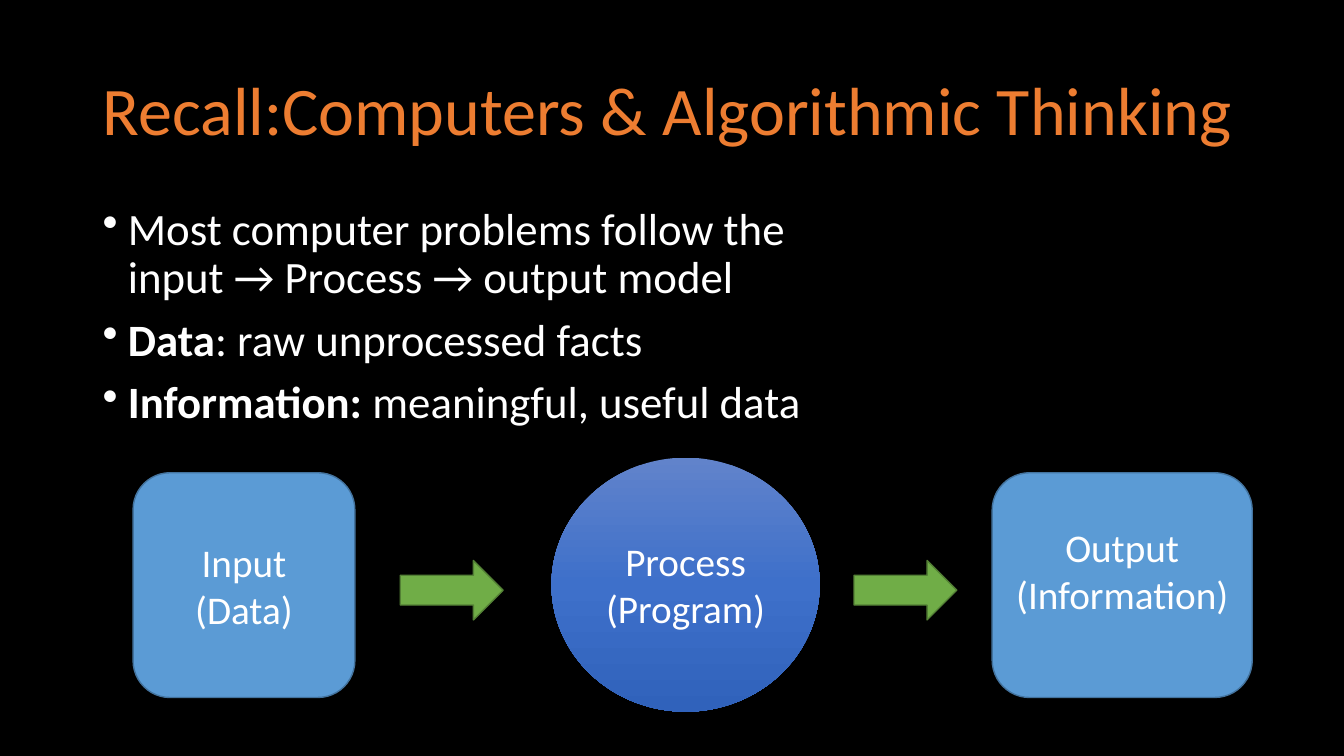
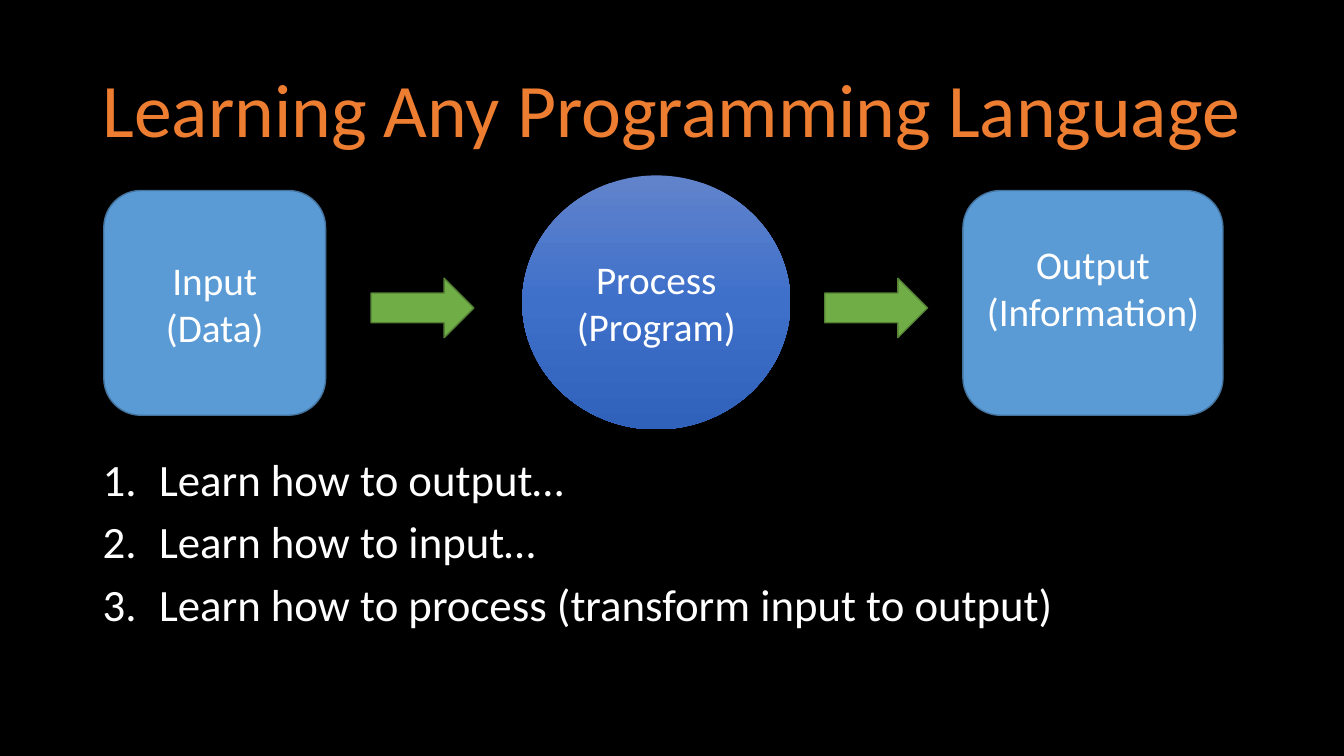
from lxml import etree
from pptx import Presentation
from pptx.dml.color import RGBColor
from pptx.enum.shapes import MSO_SHAPE
from pptx.enum.text import MSO_ANCHOR, PP_ALIGN
from pptx.oxml import parse_xml
from pptx.oxml.ns import nsdecls, qn
from pptx.util import Inches, Pt

ROUNDED, ELLIPSE, ARROW = (
    MSO_SHAPE.ROUNDED_RECTANGLE, MSO_SHAPE.OVAL, MSO_SHAPE.RIGHT_ARROW)
TOP, MIDDLE = MSO_ANCHOR.TOP, MSO_ANCHOR.MIDDLE
LEFT, CENTER = PP_ALIGN.LEFT, PP_ALIGN.CENTER

WIDTH, HEIGHT = 13.33, 7.5
MARGIN, CONTENT_WIDTH = 0.92, 11.5
FONT = "Calibri"
BLACK, WHITE, ORANGE = "000000", "FFFFFF", "ED7D31"
BLUE, BLUE_EDGE = "5B9BD5", "43739E"
GREEN, GREEN_EDGE = "70AD47", "538035"
PROCESS_STOPS = [(0, "6183CB"), (50, "3E70CA"), (100, "3062BB")]

BULLET = ("a:buChar", {"char": "•"}, 0.25)
NUMBER = ("a:buAutoNum", {"type": "arabicPeriod"}, 0.56)

# Flow parts: offset and size relative to the flow's top left corner
BOXES = [("Input\n(Data)", 0, 2.2), ("Output\n(Information)\n", 8.52, 2.58)]
BOX_TOP, BOX_HEIGHT = 0.15, 2.23
PROCESS_LEFT, PROCESS_SIZE = 4.15, (2.66, 2.52)
ARROW_LEFTS, ARROW_TOP, ARROW_SIZE = (2.65, 7.15), 1.02, (1.02, 0.59)


def color(hex_value):
    """Turn a hex string into a colour."""
    return RGBColor.from_string(hex_value)


def mark(paragraph, marker):
    """Give a paragraph a hanging bullet or number."""
    tag, attributes, indent = marker
    properties = paragraph._p.get_or_add_pPr()
    properties.set("marL", str(Inches(indent)))
    properties.set("indent", str(-Inches(indent)))
    etree.SubElement(properties, qn(tag), attributes)


def write(frame, paragraphs, size, fill=WHITE, align=LEFT, anchor=TOP,
          line_spacing=None, space_before=None, marker=None):
    """Fill a text frame; each paragraph is a list of (text, bold) runs."""
    frame.word_wrap = True
    frame.vertical_anchor = anchor
    for index, runs in enumerate(paragraphs):
        paragraph = frame.add_paragraph() if index else frame.paragraphs[0]
        paragraph.alignment = align
        paragraph.line_spacing = line_spacing
        if space_before is not None:
            paragraph.space_before = Pt(space_before)
        if marker:
            mark(paragraph, marker)
        for text, bold in runs:
            for number, line in enumerate(text.split("\n")):
                if number:
                    paragraph.add_line_break()
                if line:
                    run = paragraph.add_run()
                    run.text = line
                    run.font.name, run.font.size = FONT, Pt(size)
                    run.font.bold = bold
                    run.font.color.rgb = color(fill)


def text_box(slide, top, height, paragraphs, **style):
    """Add text across the content width."""
    box = slide.shapes.add_textbox(
        *map(Inches, (MARGIN, top, CONTENT_WIDTH, height)))
    write(box.text_frame, paragraphs, **style)


def title(slide, text, size):
    """Add the slide title."""
    text_box(slide, 0.4, 1.45, [[(text, False)]], size=size, fill=ORANGE,
             anchor=MIDDLE, line_spacing=0.9)


def item_list(slide, top, items, marker):
    """Add a bulleted or numbered list."""
    text_box(slide, top, 2.54, items, size=32, line_spacing=0.9,
             space_before=10, marker=marker)


def gradient(shape, stops):
    """Fill a shape with a gradient from top to bottom."""
    stop_xml = "".join(
        f'<a:gs pos="{share * 1000}"><a:srgbClr val="{value}"/></a:gs>'
        for share, value in stops)
    shape._element.spPr.find(qn("a:prstGeom")).addnext(parse_xml(
        f'<a:gradFill {nsdecls("a")} rotWithShape="1"><a:gsLst>{stop_xml}'
        '</a:gsLst><a:lin ang="5400000" scaled="0"/></a:gradFill>'))


def flow_part(slide, kind, left, top, size, fill=None, edge=None, label=None):
    """Add one shape of the flow, with an optional centred label."""
    part = slide.shapes.add_shape(kind, *map(Inches, (left, top, *size)))
    part.shadow.inherit = False
    if fill:
        part.fill.solid()
        part.fill.fore_color.rgb = color(fill)
    if edge:
        part.line.color.rgb = color(edge)
        part.line.width = Pt(1)
    else:
        part.line.fill.background()
    if label:
        write(part.text_frame, [[(label, False)]], size=28, align=CENTER,
              anchor=MIDDLE)
    return part


def flow(slide, left, top):
    """Draw input, process and output, joined by arrows."""
    process = flow_part(slide, ELLIPSE, left + PROCESS_LEFT, top, PROCESS_SIZE,
                        label="Process\n(Program)")
    gradient(process, PROCESS_STOPS)
    for label, offset, width in BOXES:
        flow_part(slide, ROUNDED, left + offset, top + BOX_TOP,
                  (width, BOX_HEIGHT), BLUE, BLUE_EDGE, label)
    for offset in ARROW_LEFTS:
        flow_part(slide, ARROW, left + offset, top + ARROW_TOP, ARROW_SIZE,
                  GREEN, GREEN_EDGE)


def main():
    """Build the presentation."""
    deck = Presentation()
    deck.slide_width, deck.slide_height = Inches(WIDTH), Inches(HEIGHT)
    backdrop = deck.slide_master.background.fill
    backdrop.solid()
    backdrop.fore_color.rgb = color(BLACK)
    blank = deck.slide_layouts[6]

    recall = deck.slides.add_slide(blank)
    title(recall, "Recall:Computers & Algorithmic Thinking", 48.6)
    item_list(recall, 2, [
        [("Most computer problems follow the \n"
          "input → Process → output model", False)],
        [("Data", True), (": raw unprocessed facts", False)],
        [("Information: ", True), ("meaningful, useful data", False)],
    ], BULLET)
    flow(recall, 1.32, 4.54)

    learning = deck.slides.add_slide(blank)
    title(learning, "Learning Any Programming Language", 54)
    item_list(learning, 4.49, [
        [("Learn how to output…", False)],
        [("Learn how to input…", False)],
        [("Learn how to process (transform input to output)", False)],
    ], NUMBER)
    flow(learning, 1.03, 1.74)

    deck.save("out.pptx")


main()
